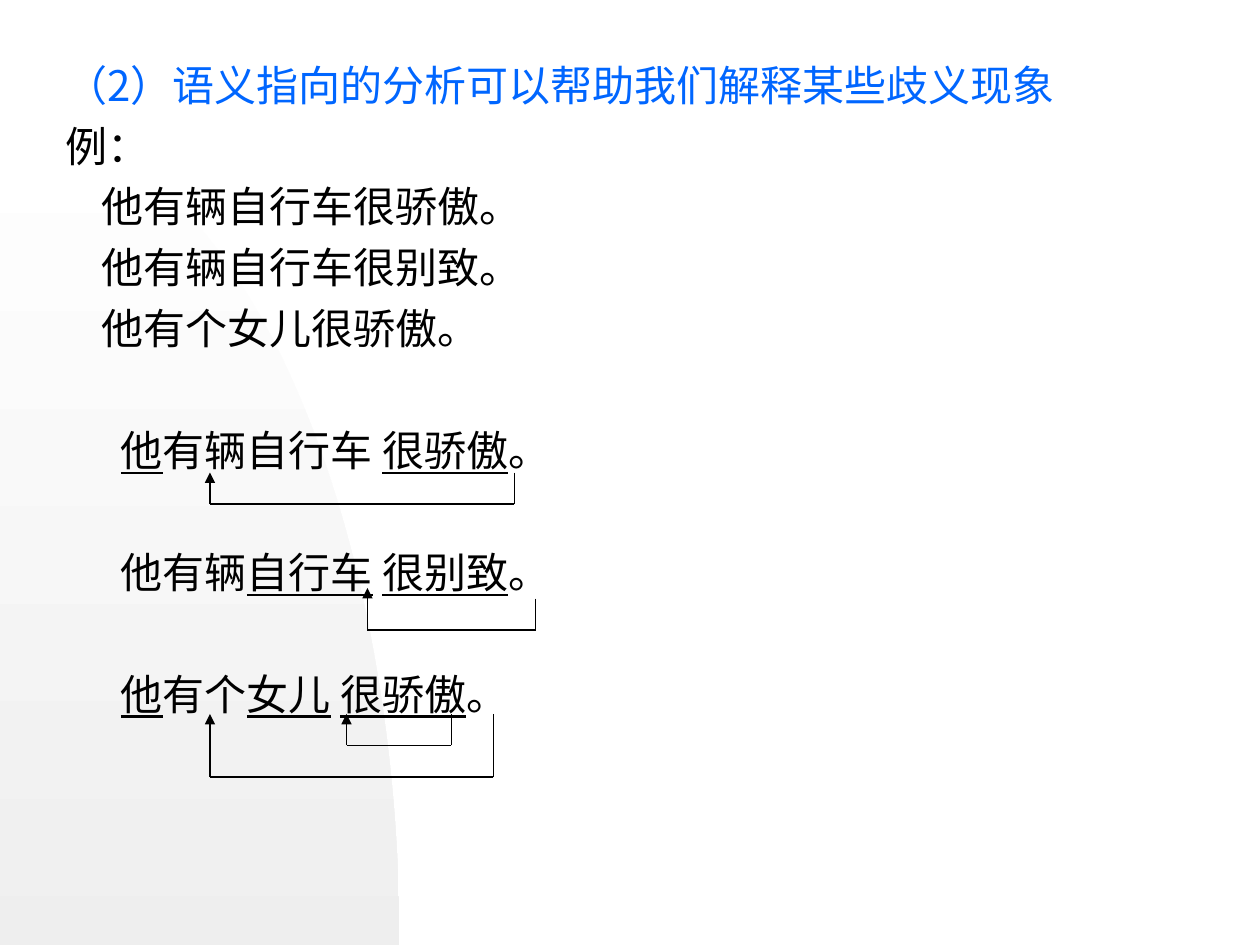
from dataclasses import dataclass

from lxml.etree import SubElement
from pptx import Presentation
from pptx.dml.color import RGBColor
from pptx.enum.shapes import MSO_CONNECTOR as Connector, MSO_SHAPE as Preset
from pptx.enum.text import MSO_ANCHOR as Anchor, PP_ALIGN as Align
from pptx.oxml.ns import qn
from pptx.util import Inches, Pt


@dataclass(frozen=True)
class Theme:
    font: str = "Noto Sans CJK SC"
    size: int = 24
    heading: RGBColor = RGBColor(0x00, 0x66, 0xFF)
    ink: RGBColor = RGBColor(0, 0, 0)
    arc_top: RGBColor = RGBColor(0xFF, 0xFF, 0xFF)
    arc_bottom: RGBColor = RGBColor(0xDD, 0xDD, 0xDD)
    line_width: float = 0.75


theme = Theme()


def set_values(target, values):
    for name, value in values.items():
        setattr(target, name, value)


def add_stroke(shapes, start, end, arrow):
    ends = [Inches(value / 12) for value in (*start, *end)]
    stroke = shapes.add_connector(Connector.STRAIGHT, *ends)
    stroke.line.color.rgb = theme.ink
    stroke.line.width = Pt(theme.line_width)
    if arrow:
        SubElement(stroke.line._get_or_add_ln(), qn("a:tailEnd"), type="triangle")
    SubElement(stroke._element.spPr, qn("a:effectLst"))


presentation = Presentation()
set_values(presentation, {"slide_width": Inches(10), "slide_height": Inches(7.5)})
slide = presentation.slides.add_slide(presentation.slide_layouts[6])
shapes = slide.shapes

# Shaded arc: an ellipse centred on the lower left corner of the slide
radius_x, radius_y = 3.17, 6.58
arc = shapes.add_shape(
    Preset.OVAL, Inches(-radius_x), Inches(7.5 - radius_y),
    Inches(2 * radius_x), Inches(2 * radius_y),
)
arc.shadow.inherit = False
arc.line.fill.background()
arc.fill.gradient()
arc.fill.gradient_angle = 270
for stop, color in zip(arc.fill.gradient_stops, (theme.arc_top, theme.arc_bottom)):
    stop.color.rgb = color

# Text: indent in inches, space before in points, colour, words ("_" toggles underline)
line_gap, section_gap = 6, 40.8
rows = [
    (0, line_gap, theme.heading, "（2）语义指向的分析可以帮助我们解释某些歧义现象"),
    (0, line_gap, theme.ink, "例："),
    (0.29, line_gap, theme.ink, "他有辆自行车很骄傲。"),
    (0.29, line_gap, theme.ink, "他有辆自行车很别致。"),
    (0.29, line_gap, theme.ink, "他有个女儿很骄傲。"),
    (0.44, section_gap, theme.ink, "_他_有辆自行车 _很骄傲_。"),
    (0.44, section_gap, theme.ink, "他有辆_自行车_ _很别致_。"),
    (0.44, section_gap, theme.ink, "_他_有个_女儿_ _很骄傲_。"),
]
body = shapes.add_textbox(Inches(0.42), Inches(0.42), Inches(9.25), Inches(6.75))
frame = body.text_frame
set_values(frame, {
    "word_wrap": True, "vertical_anchor": Anchor.TOP,
    "margin_left": Inches(0.1), "margin_right": Inches(0.1),
    "margin_top": Inches(0.05), "margin_bottom": Inches(0.05),
})
for index, (indent, gap, color, words) in enumerate(rows):
    paragraph = frame.add_paragraph() if index else frame.paragraphs[0]
    set_values(paragraph, {"alignment": Align.JUSTIFY, "space_before": Pt(gap)})
    paragraph._p.get_or_add_pPr().set("marL", str(Inches(indent)))
    for part, piece in enumerate(words.split("_")):
        if not piece:
            continue
        run = paragraph.add_run()
        run.text = piece
        set_values(run.font, {
            "name": theme.font, "size": Pt(theme.size), "underline": part % 2 == 1,
        })
        run.font.color.rgb = color
        SubElement(run._r.get_or_add_rPr(), qn("a:ea"), typeface=theme.font)

# Pointing brackets, in twelfths of an inch: start x, start y, low y, arrow x, arrow y
brackets = [
    (49, 45, 48, 20, 45),
    (51, 57, 60, 35, 56),
    (43, 68, 71, 33, 68),
    (47, 68, 74, 20, 68),
]
for start_x, start_y, low_y, arrow_x, arrow_y in brackets:
    corners = [(start_x, start_y), (start_x, low_y), (arrow_x, low_y), (arrow_x, arrow_y)]
    for start, end in zip(corners, corners[1:]):
        add_stroke(shapes, start, end, arrow=end == corners[-1])

presentation.save("out.pptx")
